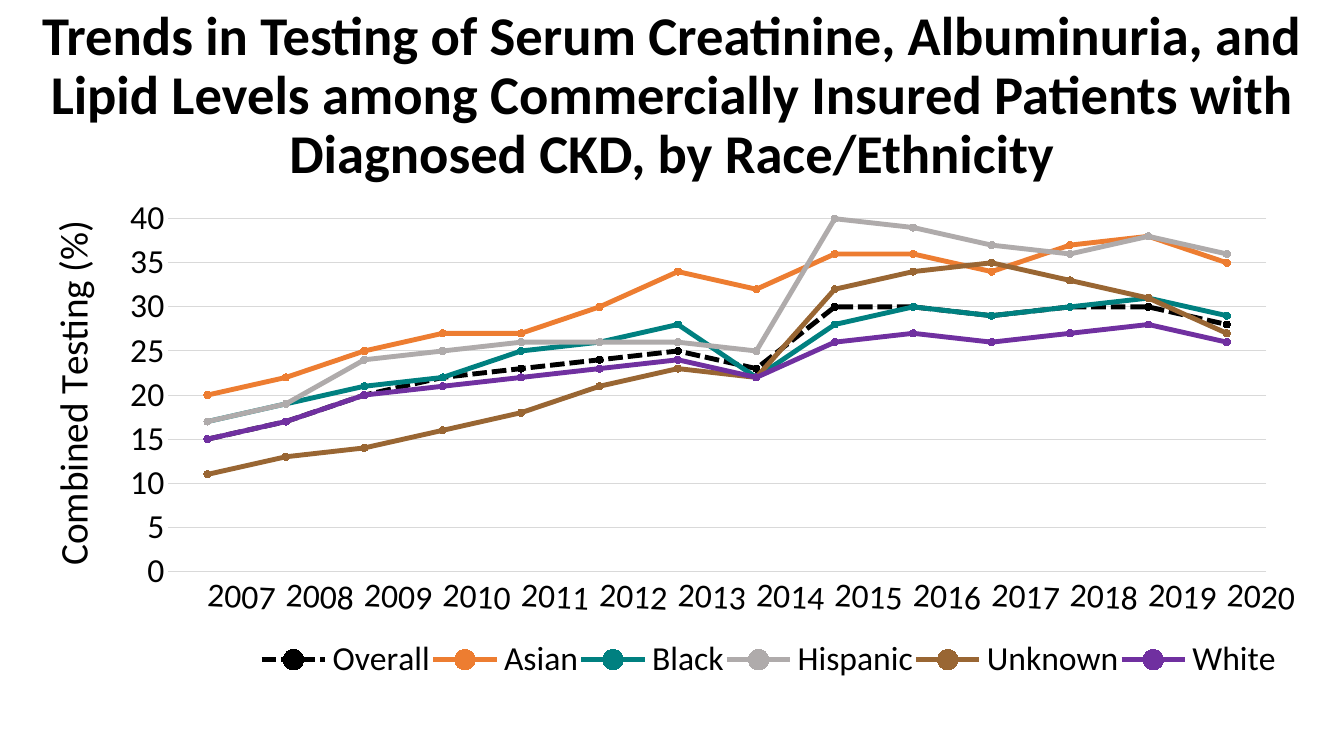
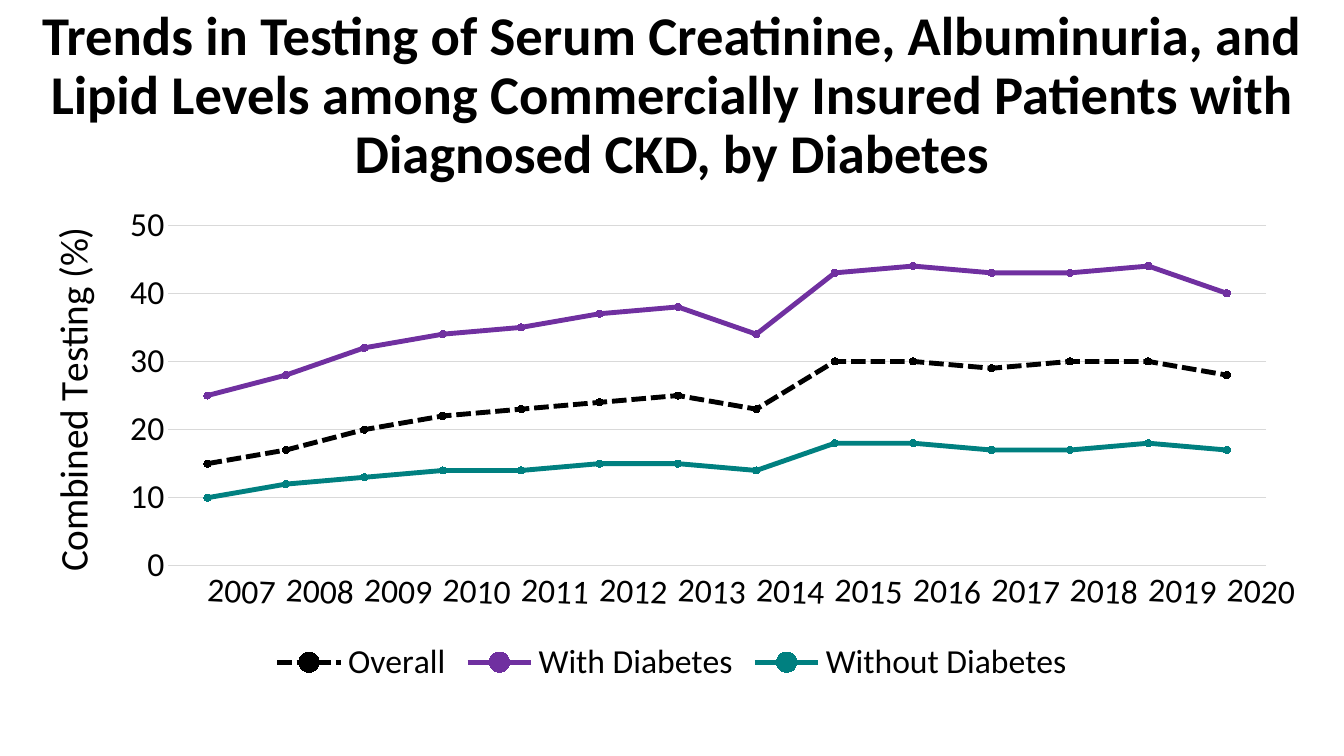
from dataclasses import dataclass
from typing import Optional

from lxml import etree
from pptx import Presentation
from pptx.chart.chart import Chart
from pptx.chart.data import CategoryChartData
from pptx.dml.color import RGBColor
from pptx.enum.chart import (XL_CHART_TYPE, XL_LEGEND_POSITION,
                             XL_MARKER_STYLE, XL_TICK_MARK)
from pptx.enum.dml import MSO_LINE
from pptx.enum.text import MSO_ANCHOR, MSO_AUTO_SIZE, PP_ALIGN
from pptx.oxml.ns import qn
from pptx.util import Inches, Pt

LINE_MARKERS = XL_CHART_TYPE.LINE_MARKERS
LEGEND_BOTTOM = XL_LEGEND_POSITION.BOTTOM
CIRCLE = XL_MARKER_STYLE.CIRCLE
NO_TICKS = XL_TICK_MARK.NONE
SHORT_DASH = MSO_LINE.SQUARE_DOT
MIDDLE = MSO_ANCHOR.MIDDLE
CENTER = PP_ALIGN.CENTER
NO_AUTOFIT = MSO_AUTO_SIZE.NONE
TITLE_ONLY = 5


@dataclass(frozen=True)
class Theme:
    font: str = "Calibri"
    text: str = "000000"
    grid: str = "D9D9D9"
    orange: str = "ED7D31"
    teal: str = "008080"
    gray: str = "AFABAB"
    brown: str = "996633"
    purple: str = "7030A0"
    title_size: int = 39
    axis_title_size: int = 28
    label_size: int = 24
    series_width: float = 3.5
    grid_width: float = 0.75
    marker_size: int = 5


THEME = Theme()


@dataclass(frozen=True)
class Frame:
    """Left, top, width and height; fractions inside a chart, inches on a page."""
    left: float
    top: float
    width: Optional[float] = None
    height: Optional[float] = None


@dataclass(frozen=True)
class Series:
    name: str
    color: str
    values: tuple[int, ...]
    dashed: bool = False


@dataclass(frozen=True)
class TrendPage:
    grouping: str
    frame: Frame
    plot: Frame
    maximum: int
    step: int
    series: tuple[Series, ...]
    legend: Optional[Frame] = None


# Shared content
TITLE = ("Trends in Testing of Serum Creatinine, Albuminuria, and Lipid Levels "
         "among Commercially Insured Patients with Diagnosed CKD, by ")
AXIS_TITLE = "Combined Testing (%)"
YEARS = [str(year) for year in range(2007, 2021)]
TITLE_FRAME = Frame(0.26, 0.24, 12.81, 1.45)
AXIS_TITLE_FRAME = Frame(0.01, 0.05)
OVERALL = Series("Overall", THEME.text,
                 (15, 17, 20, 22, 23, 24, 25, 23, 30, 30, 29, 30, 30, 28), True)

PAGES = (
    TrendPage(
        "Race/Ethnicity", Frame(0.26, 1.87, 12.81, 5),
        Frame(0.11, 0.06, 0.85, 0.7), 40, 5,
        (OVERALL,
         Series("Asian", THEME.orange,
                (20, 22, 25, 27, 27, 30, 34, 32, 36, 36, 34, 37, 38, 35)),
         Series("Black", THEME.teal,
                (17, 19, 21, 22, 25, 26, 28, 22, 28, 30, 29, 30, 31, 29)),
         Series("Hispanic", THEME.gray,
                (17, 19, 24, 25, 26, 26, 26, 25, 40, 39, 37, 36, 38, 36)),
         Series("Unknown", THEME.brown,
                (11, 13, 14, 16, 18, 21, 23, 22, 32, 34, 35, 33, 31, 27)),
         Series("White", THEME.purple,
                (15, 17, 20, 21, 22, 23, 24, 22, 26, 27, 26, 27, 28, 26))),
        Frame(0.18, 0.89, 0.79, 0.09)),
    TrendPage(
        "Diabetes", Frame(0.26, 1.94, 12.81, 4.9),
        Frame(0.11, 0.06, 0.85, 0.69), 50, 10,
        (OVERALL,
         Series("With Diabetes", THEME.purple,
                (25, 28, 32, 34, 35, 37, 38, 34, 43, 44, 43, 43, 44, 40)),
         Series("Without Diabetes", THEME.teal,
                (10, 12, 13, 14, 14, 15, 15, 14, 18, 18, 17, 17, 18, 17)))),
)


def set_font(font, size: float, bold: bool = False) -> None:
    font.name = THEME.font
    font.size = Pt(size)
    font.bold = bold
    font.color.rgb = RGBColor.from_string(THEME.text)


def set_line(line, color: str, width: float) -> None:
    line.color.rgb = RGBColor.from_string(color)
    line.width = Pt(width)


def inches(frame: Frame) -> tuple:
    return tuple(Inches(length) for length in
                 (frame.left, frame.top, frame.width, frame.height))


def place_part(part, frame: Frame, index: int, inner: bool = False) -> None:
    """Give a chart part a fixed place, as fractions of the chart."""
    for old in part.findall(qn("c:layout")):
        part.remove(old)
    layout = etree.Element(qn("c:layout"))
    manual = etree.SubElement(layout, qn("c:manualLayout"))
    settings = [("layoutTarget", "inner")] if inner else []
    settings += [("xMode", "edge"), ("yMode", "edge"),
                 ("x", frame.left), ("y", frame.top)]
    if frame.width is not None:
        settings += [("w", frame.width), ("h", frame.height)]
    for name, value in settings:
        etree.SubElement(manual, qn(f"c:{name}")).set("val", str(value))
    part.insert(index, layout)


def add_title(page, text: str) -> None:
    box = page.shapes.title
    box.left, box.top, box.width, box.height = inches(TITLE_FRAME)
    frame = box.text_frame
    frame.text = text
    frame.word_wrap = True
    frame.auto_size = NO_AUTOFIT
    frame.vertical_anchor = MIDDLE
    para = frame.paragraphs[0]
    para.alignment = CENTER
    para.line_spacing = 0.9
    set_font(para.font, THEME.title_size, bold=True)


def format_axes(chart: Chart, trend: TrendPage) -> None:
    years, percent = chart.category_axis, chart.value_axis
    for axis in (years, percent):
        axis.major_tick_mark = axis.minor_tick_mark = NO_TICKS
        set_font(axis.tick_labels.font, THEME.label_size)
    set_line(years.format.line, THEME.grid, THEME.grid_width)
    # Year labels tilt by three degrees
    years._element.find(qn("c:txPr")).find(qn("a:bodyPr")).set("rot", "180000")

    percent.minimum_scale = 0
    percent.maximum_scale = trend.maximum
    percent.major_unit = trend.step
    percent.tick_labels.number_format = "0"
    percent.tick_labels.number_format_is_linked = False
    percent.format.line.fill.background()
    set_line(percent.major_gridlines.format.line, THEME.grid, THEME.grid_width)

    # Upright axis title
    title = percent.axis_title
    title.text_frame.text = AXIS_TITLE
    set_font(title.text_frame.paragraphs[0].font, THEME.axis_title_size)
    body = title._element.find(".//" + qn("a:bodyPr"))
    body.set("rot", "-5400000")
    body.set("vert", "horz")
    place_part(title._element, AXIS_TITLE_FRAME, 1)


def add_trend_chart(page, trend: TrendPage) -> None:
    data = CategoryChartData(number_format="0")
    data.categories = YEARS
    for series in trend.series:
        data.add_series(series.name, series.values)
    chart = page.shapes.add_chart(LINE_MARKERS, *inches(trend.frame), data).chart
    chart.has_title = False
    set_font(chart.font, THEME.label_size)
    format_axes(chart, trend)

    # Lines and markers
    plot = chart.plots[0]
    plot.vary_by_categories = False
    for drawn, series in zip(plot.series, trend.series):
        drawn.smooth = False
        set_line(drawn.format.line, series.color, THEME.series_width)
        if series.dashed:
            drawn.format.line.dash_style = SHORT_DASH
        marker = drawn.marker
        marker.style = CIRCLE
        marker.size = THEME.marker_size
        marker.format.fill.solid()
        marker.format.fill.fore_color.rgb = RGBColor.from_string(series.color)
        set_line(marker.format.line, series.color, THEME.grid_width)

    # Legend and plot area
    chart.has_legend = True
    chart.legend.position = LEGEND_BOTTOM
    chart.legend.include_in_layout = False
    set_font(chart.legend.font, THEME.label_size)
    if trend.legend:
        place_part(chart.legend._element, trend.legend, 1)
    plot_area = chart._chartSpace.find(".//" + qn("c:plotArea"))
    place_part(plot_area, trend.plot, 0, inner=True)


def main() -> None:
    deck = Presentation()
    deck.slide_width, deck.slide_height = Inches(13.33), Inches(7.5)
    for trend in PAGES:
        page = deck.slides.add_slide(deck.slide_layouts[TITLE_ONLY])
        add_title(page, TITLE + trend.grouping)
        add_trend_chart(page, trend)
    deck.save("out.pptx")


if __name__ == "__main__":
    main()
